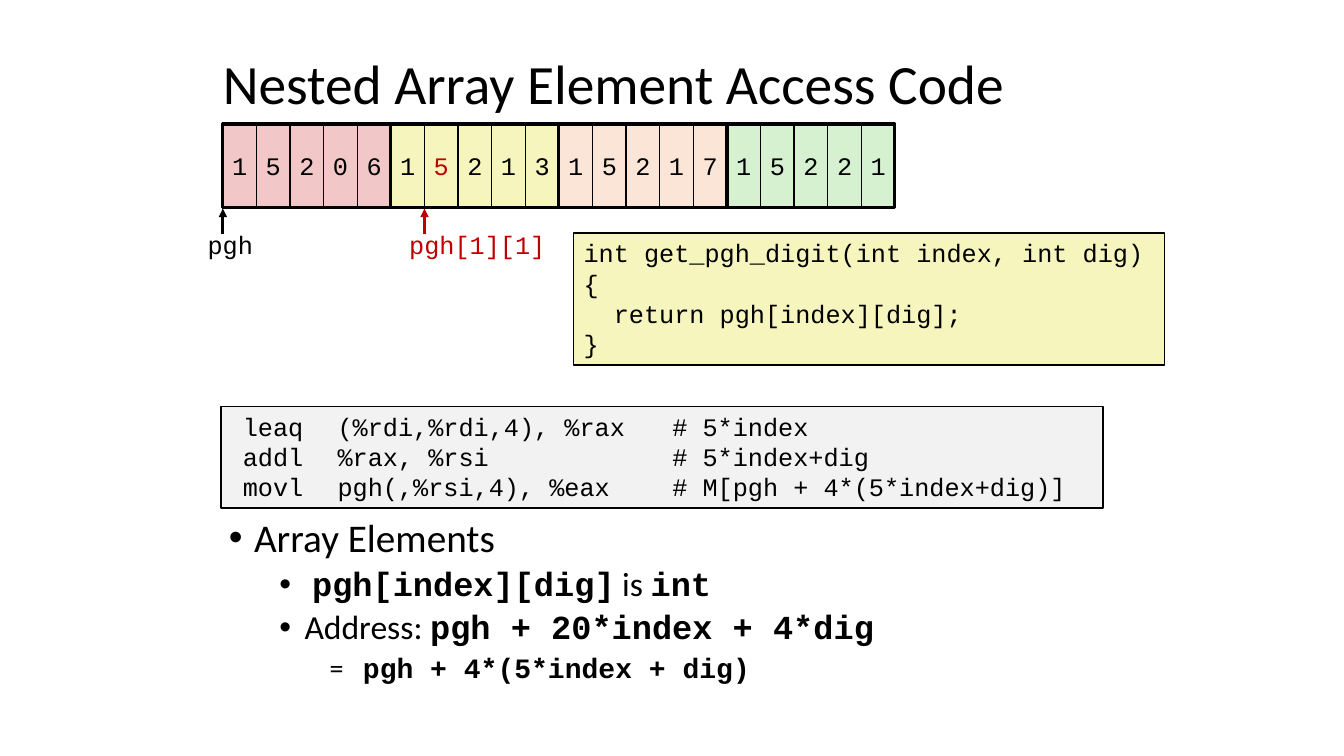
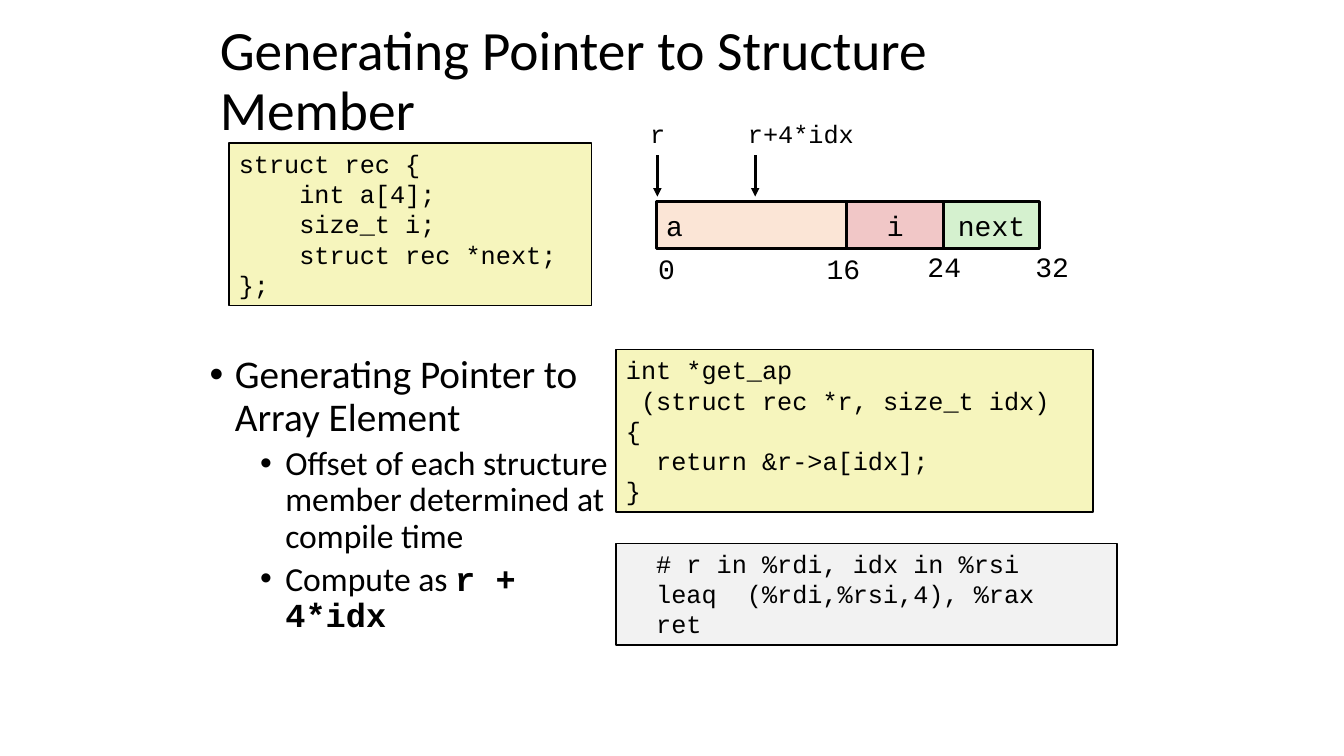
from dataclasses import dataclass

from lxml import etree
from pptx import Presentation
from pptx.dml.color import RGBColor
from pptx.enum.shapes import MSO_CONNECTOR, MSO_SHAPE
from pptx.enum.text import MSO_ANCHOR, MSO_AUTO_SIZE, PP_ALIGN
from pptx.oxml.ns import qn
from pptx.util import Inches, Pt

RECT = MSO_SHAPE.RECTANGLE
STRAIGHT = MSO_CONNECTOR.STRAIGHT
TOP, MIDDLE = MSO_ANCHOR.TOP, MSO_ANCHOR.MIDDLE
LEFT, CENTER = PP_ALIGN.LEFT, PP_ALIGN.CENTER
FIXED, FIT_SHAPE = MSO_AUTO_SIZE.NONE, MSO_AUTO_SIZE.SHAPE_TO_FIT_TEXT


@dataclass(frozen=True)
class Theme:
    """Colours, fonts and type sizes of the slides."""
    ink: str = "000000"
    accent: str = "C00000"
    yellow: str = "F6F5BD"
    grey: str = "F2F2F2"
    pink: str = "F1C7C7"
    peach: str = "FBE5D6"
    green: str = "D5F1CF"
    prose: str = "Calibri"
    mono: str = "Courier New"
    title_size: float = 39.6
    list_sizes: tuple = (28, 24, 20)
    code_size: float = 18
    field_size: float = 20


class SlideBuilder:
    """Holds the theme and the current slide, and draws each kind of element."""

    def __init__(self, theme):
        """Start a wide presentation."""
        self.theme = theme
        self.deck = Presentation()
        self.deck.slide_width = Inches(13.33)
        self.deck.slide_height = Inches(7.5)
        self.slide = None

    def set_font(self, paragraph, name, size, color=None):
        """Format a whole paragraph."""
        font = paragraph.font
        font.name, font.size = name, Pt(size)
        font.color.rgb = RGBColor.from_string(color or self.theme.ink)

    def place(self, shape, left, top, width, height):
        """Move and size a placeholder."""
        shape.left, shape.top = Inches(left), Inches(top)
        shape.width, shape.height = Inches(width), Inches(height)
        shape.text_frame.auto_size = FIXED

    def start_slide(self, title, left, top, width):
        """Add a slide and format its title."""
        self.slide = self.deck.slides.add_slide(self.deck.slide_layouts[1])
        heading = self.slide.shapes.title
        self.place(heading, left, top, width, 0.63)
        heading.text_frame.vertical_anchor = MIDDLE
        heading.text_frame.text = title
        paragraph = heading.text_frame.paragraphs[0]
        paragraph.alignment, paragraph.line_spacing = LEFT, 0.9
        self.set_font(paragraph, self.theme.prose, self.theme.title_size)

    def bullets(self, items, left, top, width, height):
        """Fill the body with (level, runs); each run is (text, is_code)."""
        body = self.slide.placeholders[1]
        self.place(body, left, top, width, height)
        frame = body.text_frame
        for number, (level, runs) in enumerate(items):
            paragraph = frame.add_paragraph() if number else frame.paragraphs[0]
            paragraph.level = level
            paragraph.line_spacing = 0.9
            paragraph.space_before = Pt(5 if level else 10)
            self.set_bullet(paragraph, level)
            self.set_font(paragraph, self.theme.prose, self.theme.list_sizes[level])
            for text, is_code in runs:
                run = paragraph.add_run()
                run.text = text
                if is_code:
                    run.font.name, run.font.bold = self.theme.mono, True

    def set_bullet(self, paragraph, level):
        """Set the hanging indent and marker of a list level."""
        margin, hang, marker = ((0.25, 0.25, "•"), (0.75, 0.25, "•"),
                                (1.33, 0.33, None))[level]
        properties = paragraph._p.get_or_add_pPr()
        properties.set("marL", str(Inches(margin)))
        properties.set("indent", str(-Inches(hang)))
        if marker:
            etree.SubElement(properties, qn("a:buFont")).set("typeface", "Arial")
            etree.SubElement(properties, qn("a:buChar")).set("char", marker)
        else:
            etree.SubElement(properties, qn("a:buNone"))

    def box(self, left, top, width, height, fill=None, weight=1):
        """Draw an outlined rectangle, filled if a colour is given."""
        box = self.slide.shapes.add_shape(
            RECT, Inches(left), Inches(top), Inches(width), Inches(height))
        box.shadow.inherit = False
        if fill:
            box.fill.solid()
            box.fill.fore_color.rgb = RGBColor.from_string(fill)
        else:
            box.fill.background()
        box.line.color.rgb = RGBColor.from_string(self.theme.ink)
        box.line.width = Pt(weight)
        return box

    def code(self, lines, left, top, width, fill, tabs=()):
        """Draw a code listing whose height follows its line count."""
        listing = self.box(left, top, width, 0.3 * len(lines) + 0.11, fill)
        frame = listing.text_frame
        frame.vertical_anchor, frame.auto_size = TOP, FIT_SHAPE
        frame.text = "\n".join(lines)
        for paragraph in frame.paragraphs:
            paragraph.alignment = LEFT
            if tabs:
                stops = etree.SubElement(paragraph._p.get_or_add_pPr(), qn("a:tabLst"))
                for position in tabs:
                    stop = etree.SubElement(stops, qn("a:tab"))
                    stop.set("pos", str(Inches(position)))
                    stop.set("algn", "l")
            self.set_font(paragraph, self.theme.mono, self.theme.code_size)

    def cell(self, text, left, top, width, height, fill, weight, size,
             color=None, align=CENTER):
        """Draw one cell with its content."""
        cell = self.box(left, top, width, height, fill, weight)
        frame = cell.text_frame
        frame.vertical_anchor, frame.word_wrap = MIDDLE, align == LEFT
        frame.text = text
        frame.paragraphs[0].alignment = align
        self.set_font(frame.paragraphs[0], self.theme.mono, size, color)

    def label(self, text, left, top, size, color=None):
        """Write a monospaced label in a box as wide as its text."""
        label = self.slide.shapes.add_textbox(
            Inches(left), Inches(top),
            Inches(0.2 + len(text) * size / 120), Inches(0.1 + size / 60))
        frame = label.text_frame
        frame.word_wrap, frame.auto_size = False, FIT_SHAPE
        frame.text = text
        self.set_font(frame.paragraphs[0], self.theme.mono, size, color)

    def pointer(self, text, x, start, end, label_left, label_top, color=None):
        """Draw a vertical arrow and its label."""
        arrow = self.slide.shapes.add_connector(
            STRAIGHT, Inches(x), Inches(start), Inches(x), Inches(end))
        arrow.line.color.rgb = RGBColor.from_string(color or self.theme.ink)
        arrow.line.width = Pt(2)
        properties = arrow._element.spPr
        head = etree.SubElement(properties.find(qn("a:ln")), qn("a:tailEnd"))
        head.set("type", "triangle")
        etree.SubElement(properties, qn("a:effectLst"))
        self.label(text, label_left, label_top, self.theme.code_size, color)


def array_access(builder):
    """Build the slide on nested array access."""
    theme = builder.theme
    builder.start_slide("Nested Array Element Access Code", 2.11, 0.54, 9.06)
    builder.bullets([
        (0, [("Array Elements", False)]),
        (1, [(" ", False), ("pgh[index][dig]", True), (" is ", False), ("int", True)]),
        (1, [("Address: ", False), ("pgh + 20*index + 4*dig", True)]),
        (2, [("=\t", False), ("pgh + 4*(5*index + dig)", True)]),
    ], 2.17, 5.09, 9.1, 1.91)
    builder.code(["int get_pgh_digit(int index, int dig)", "{",
                  "  return pgh[index][dig];", "}"], 5.69, 2.31, 5.86, theme.yellow)
    builder.code(["\tleaq\t(%rdi,%rdi,4), %rax\t# 5*index",
                  "\taddl\t%rax, %rsi\t# 5*index+dig",
                  "\tmovl\tpgh(,%rsi,4), %eax\t# M[pgh + 4*(5*index+dig)]"],
                 2.19, 4.03, 8.75, theme.grey, tabs=(0.12, 1.06, 4.38))

    array_left, array_top, height, digit_width = 2.21, 1.23, 0.83, 1 / 3
    array_rows = (("15206", theme.pink), ("15213", theme.yellow),
                  ("15217", theme.peach), ("15221", theme.green))
    for index, (digits, fill) in enumerate(array_rows):
        row_left = array_left + index * 5 * digit_width
        for dig, digit in enumerate(digits):
            color = theme.accent if (index, dig) == (1, 1) else theme.ink
            builder.cell(digit, row_left + dig * digit_width, array_top,
                         digit_width, height, fill, 1, theme.code_size, color)
    for index in range(len(array_rows)):
        builder.box(array_left + index * 5 * digit_width, array_top,
                    5 * digit_width, height, weight=2.25)
    for text, position, color in (("pgh", 0, theme.ink),
                                  ("pgh[1][1]", 6, theme.accent)):
        x = array_left + position * digit_width
        builder.pointer(text, x, 2.32, 2.07, x - 0.25, 2.23, color)


def structure_pointer(builder):
    """Build the slide on pointers to structure members."""
    theme = builder.theme
    builder.start_slide("Generating Pointer to Structure Member", 2.08, 0.5, 9.08)
    builder.bullets([
        (0, [("Generating Pointer to Array Element", False)]),
        (1, [("Offset of each structure member determined at compile time", False)]),
        (1, [("Compute as ", False), ("r + 4*idx", True)]),
    ], 1.98, 3.47, 4.29, 3.13)
    builder.code(["struct rec {", "    int a[4];", "    size_t i;",
                  "    struct rec *next;", "};"], 2.27, 1.42, 3.6, theme.yellow)
    builder.code(["int *get_ap", " (struct rec *r, size_t idx)", "{",
                  "  return &r->a[idx];", "}"], 6.11, 3.47, 4.73, theme.yellow)
    builder.code(["  # r in %rdi, idx in %rsi", "  leaq  (%rdi,%rsi,4), %rax",
                  "  ret"], 6.11, 5.39, 4.97, theme.grey)

    for member, left, width, fill, align in (
            ("a", 6.51, 1.9, theme.peach, LEFT),
            ("i", 8.4, 0.96, theme.pink, CENTER),
            ("next", 9.36, 0.95, theme.green, CENTER)):
        builder.cell(member, left, 2, width, 0.47, fill, 2, theme.field_size, align=align)
    for offset, left, top in (("0", 6.43, 2.45), ("16", 8.1, 2.45),
                              ("24", 9.1, 2.43), ("32", 10.17, 2.43)):
        builder.label(offset, left, top, theme.field_size)
    for address, x in (("r", 6.52), ("r+4*idx", 7.49)):
        builder.pointer(address, x, 1.54, 1.95, x - 0.17, 1.12)


def main():
    """Build and save both slides."""
    builder = SlideBuilder(Theme())
    array_access(builder)
    structure_pointer(builder)
    builder.deck.save("out.pptx")


main()
